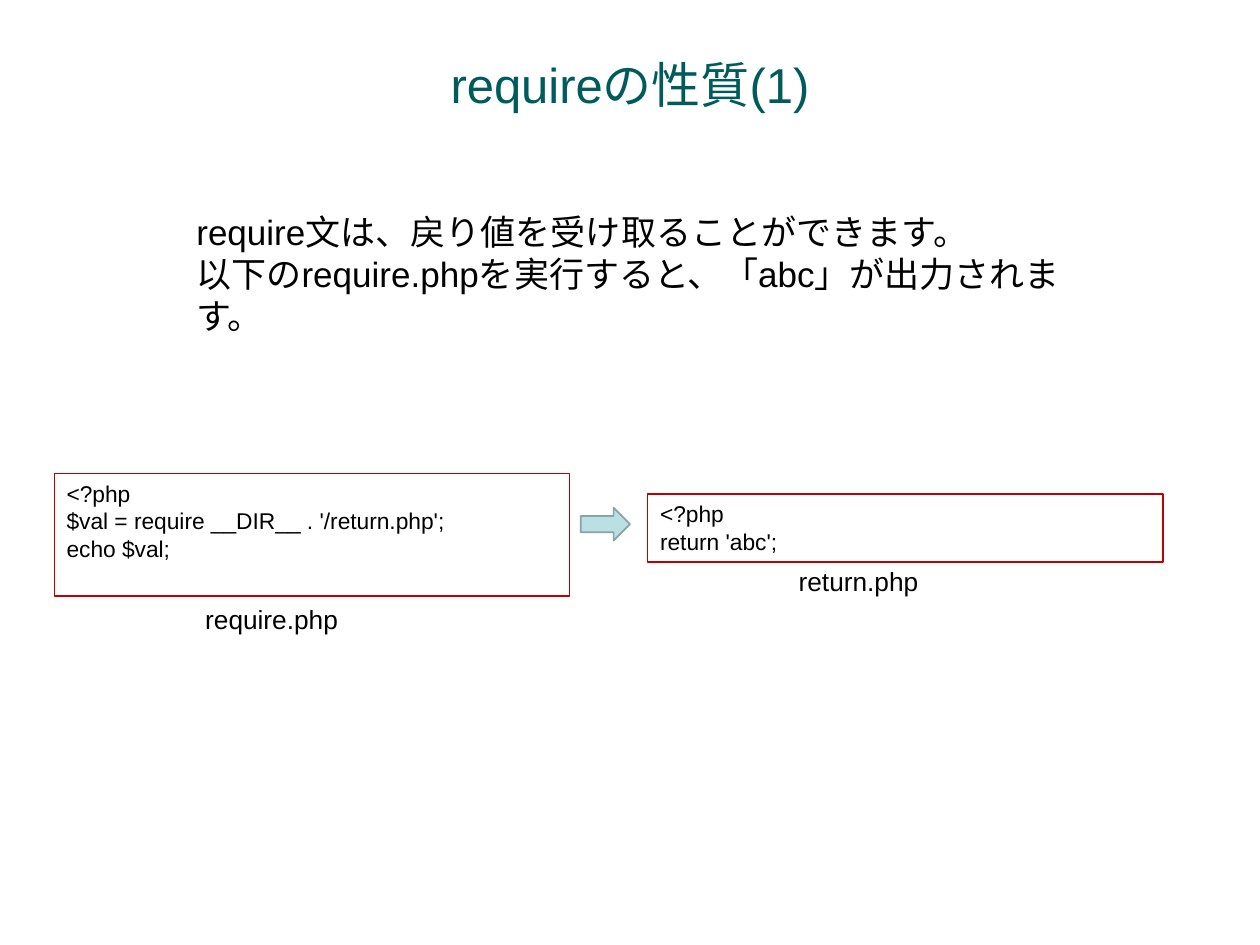
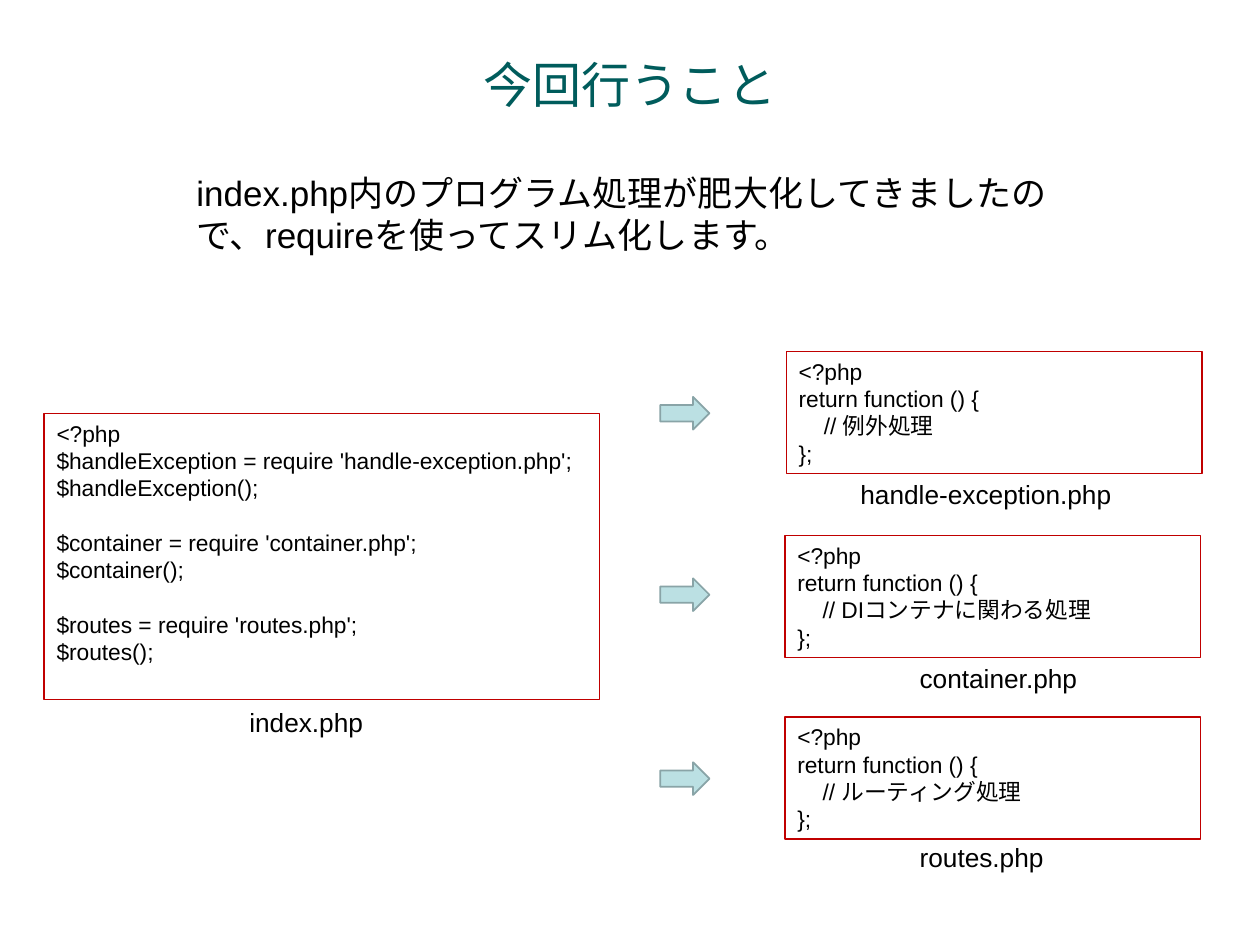
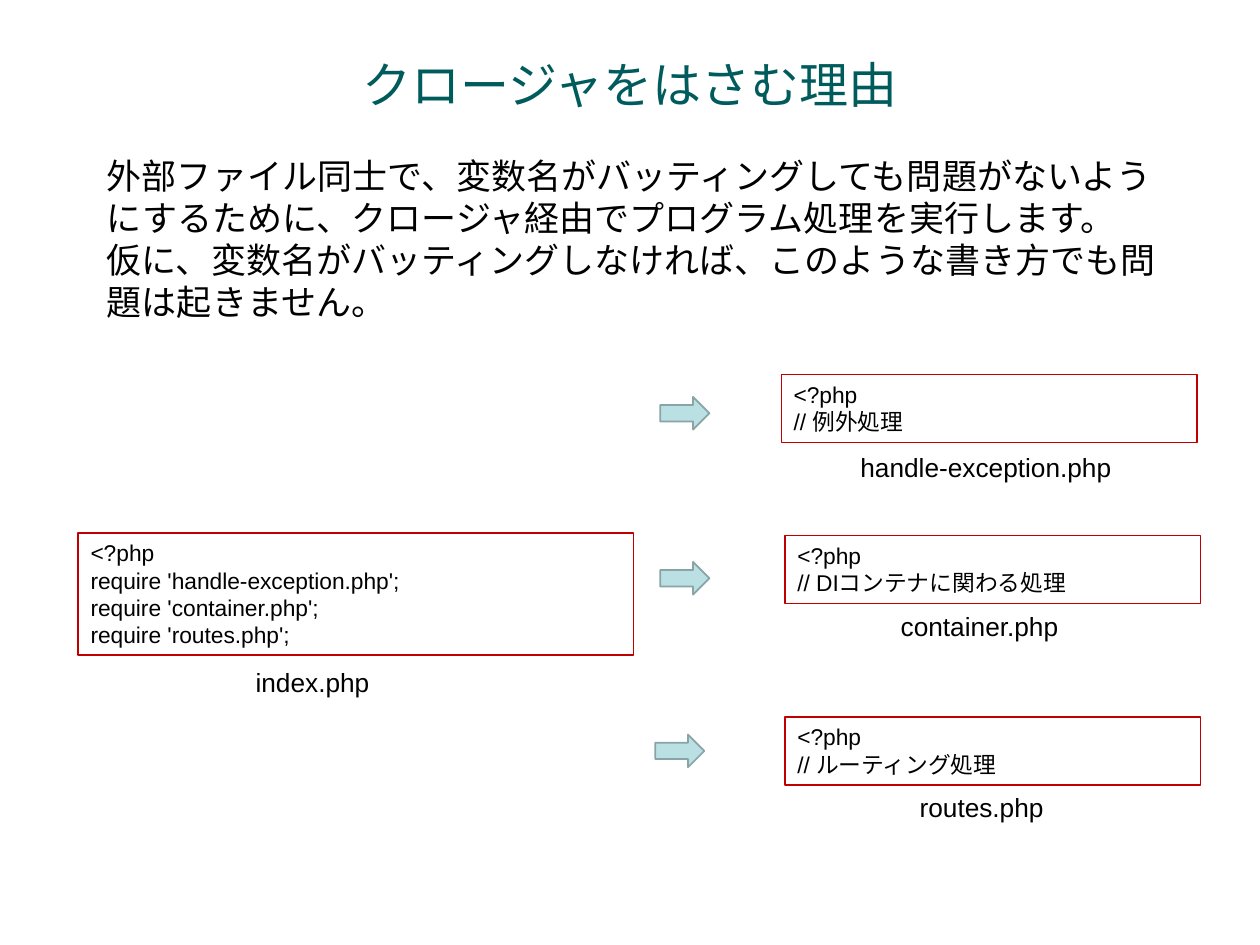
from pptx import Presentation
from pptx.dml.color import RGBColor
from pptx.enum.shapes import MSO_SHAPE as Preset
from pptx.enum.text import MSO_ANCHOR as Anchor, MSO_AUTO_SIZE as AutoSize, PP_ALIGN as Align
from pptx.util import Inches, Pt

FONT = "Arial"
TITLE_COLOR, TEXT_COLOR, FRAME_COLOR = "005C5C", "000000", "C00000"
ARROW_FILL, ARROW_LINE = "BBE0E3", "89A4A7"
TITLE_BOX = (0.75, 0.25, 8.5, 0.83)
ARROW_SIZE = (0.39, 0.26)
LINE_HEIGHT = 1.2
CODE_INDENT = 0.2
TITLE_ONLY = 5


def color(value):
    """Turn a hex string into a colour."""
    return RGBColor.from_string(value)


def place(shape, box):
    """Move a shape to a box given in inches."""
    shape.left, shape.top, shape.width, shape.height = map(Inches, box)


def write(shape, lines, size=13, fill=TEXT_COLOR, align=Align.LEFT, anchor=Anchor.TOP,
          wrap=True, indented=(), spaced=()):
    """Write one paragraph per line; indented and spaced hold line numbers."""
    frame = shape.text_frame
    frame.text = "\n".join(lines)
    frame.word_wrap = wrap
    frame.auto_size = AutoSize.NONE
    frame.vertical_anchor = anchor
    for number, paragraph in enumerate(frame.paragraphs):
        paragraph.alignment = align
        paragraph.line_spacing = Pt(size * LINE_HEIGHT)
        if number in spaced:
            paragraph.space_before = Pt(size * LINE_HEIGHT)
        if number in indented:
            properties = paragraph._p.get_or_add_pPr()
            properties.set("marL", str(Inches(CODE_INDENT)))
            properties.set("indent", "0")
        font = paragraph.runs[0].font
        font.name, font.size = FONT, Pt(size)
        font.color.rgb = color(fill)


def add_shape(slide, preset, box, line, line_width, fill=None):
    """Add a flat preset shape."""
    shape = slide.shapes.add_shape(preset, *map(Inches, box))
    shape.shadow.inherit = False
    if fill:
        shape.fill.solid()
        shape.fill.fore_color.rgb = color(fill)
    else:
        shape.fill.background()
    shape.line.color.rgb = color(line)
    shape.line.width = Pt(line_width)
    return shape


def add_text(slide, box, lines, **text_format):
    """Add a text box."""
    write(slide.shapes.add_textbox(*map(Inches, box)), lines, **text_format)


def add_code_file(slide, box, name, lines, caption, caption_width=1.89, **text_format):
    """Draw a framed code listing and its file name, offset from the frame corner."""
    left, top = box[:2]
    frame = add_shape(slide, Preset.RECTANGLE, box, FRAME_COLOR, 0.75)
    write(frame, ["<?php", *lines], **text_format)
    caption_box = (left + caption[0], top + caption[1], caption_width, 0.35)
    add_text(slide, caption_box, [name], size=15, wrap=False)


def add_arrows(slide, *corners):
    """Draw an arrow to the right at each corner."""
    for corner in corners:
        add_shape(slide, Preset.RIGHT_ARROW, (*corner, *ARROW_SIZE), ARROW_LINE, 1, ARROW_FILL)


def add_slide(presentation, title, box, lines):
    """Add a slide with a title and an explanation."""
    slide = presentation.slides.add_slide(presentation.slide_layouts[TITLE_ONLY])
    write(slide.shapes.title, [title], size=28, fill=TITLE_COLOR,
          align=Align.CENTER, anchor=Anchor.MIDDLE)
    add_text(slide, box, lines, size=20)
    return slide


def build_return_value(presentation):
    """Show how require receives a return value."""
    slide = add_slide(presentation, "requireの性質(1)", (1.46, 1.62, 7.08, 1.1), [
        "require文は、戻り値を受け取ることができます。",
        "以下のrequire.phpを実行すると、「abc」が出力されます。"])
    add_code_file(slide, (0.43, 3.76, 4.09, 0.97), "require.php",
                  ["$val = require __DIR__ . '/return.php';", "echo $val;"], (1.1, 0.98))
    add_code_file(slide, (5.14, 3.92, 4.09, 0.54), "return.php",
                  ["return 'abc';"], (1.1, 0.52))
    add_arrows(slide, (4.61, 4.03))


def build_goal(presentation):
    """Show index.php split into files that return closures."""
    slide = add_slide(presentation, "今回行うこと", (1.46, 1.31, 7.08, 0.77), [
        "index.php内のプログラム処理が肥大化してきましたので、requireを使ってスリム化します。"])
    add_code_file(slide, (0.35, 3.28, 4.41, 2.27), "index.php", [
        "$handleException = require 'handle-exception.php';", "$handleException();",
        "$container = require 'container.php';", "$container();",
        "$routes = require 'routes.php';", "$routes();"], (1.53, 2.28), spaced=(3, 5))
    parts = [
        ((6.24, 2.79), "handle-exception.php", "// 例外処理", (0.49, 0.96)),
        ((6.23, 4.25), "container.php", "// DIコンテナに関わる処理", (0.97, 0.96)),
        ((6.23, 5.69), "routes.php", "// ルーティング処理", (0.97, 0.94))]
    for corner, name, comment, caption in parts:
        add_code_file(slide, (*corner, 3.3, 0.97), name,
                      ["return function () {", comment, "};"], caption, 2.68, indented=(2,))
    add_arrows(slide, (5.24, 3.15), (5.24, 4.59), (5.24, 6.05))


def build_closure_reason(presentation):
    """Show the split without closures."""
    slide = add_slide(presentation, "クロージャをはさむ理由", (0.75, 1.18, 8.75, 1.44), [
        "外部ファイル同士で、変数名がバッティングしても問題がないようにするために、"
        "クロージャ経由でプログラム処理を実行します。",
        "仮に、変数名がバッティングしなければ、このような書き方でも問題は起きません。"])
    parts = [
        ((6.2, 2.97), "handle-exception.php", "// 例外処理", (0.53, 0.56)),
        ((6.23, 4.25), "container.php", "// DIコンテナに関わる処理", (0.82, 0.54)),
        ((6.23, 5.69), "routes.php", "// ルーティング処理", (0.97, 0.54))]
    add_code_file(slide, (0.62, 4.23, 4.41, 0.97), "index.php",
                  [f"require '{name}';" for _, name, _, _ in parts], (1.31, 1.01))
    for corner, name, comment, caption in parts:
        add_code_file(slide, (*corner, 3.3, 0.54), name, [comment], caption, 2.68)
    add_arrows(slide, (5.24, 3.15), (5.24, 4.46), (5.2, 5.83))


def main():
    """Build the presentation."""
    presentation = Presentation()
    presentation.slide_width, presentation.slide_height = Inches(10), Inches(7.5)
    place(presentation.slide_layouts[TITLE_ONLY].placeholders[0], TITLE_BOX)
    build_return_value(presentation)
    build_goal(presentation)
    build_closure_reason(presentation)
    presentation.save("out.pptx")


if __name__ == "__main__":
    main()
